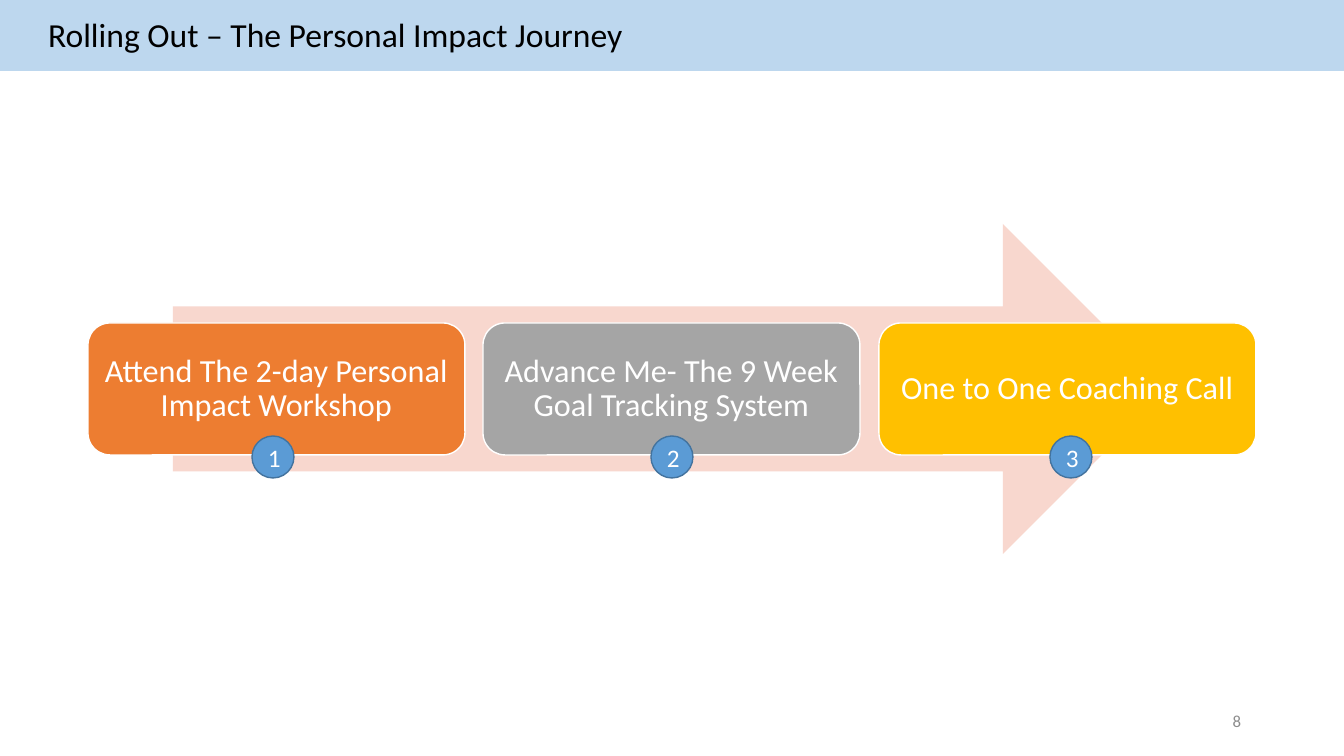
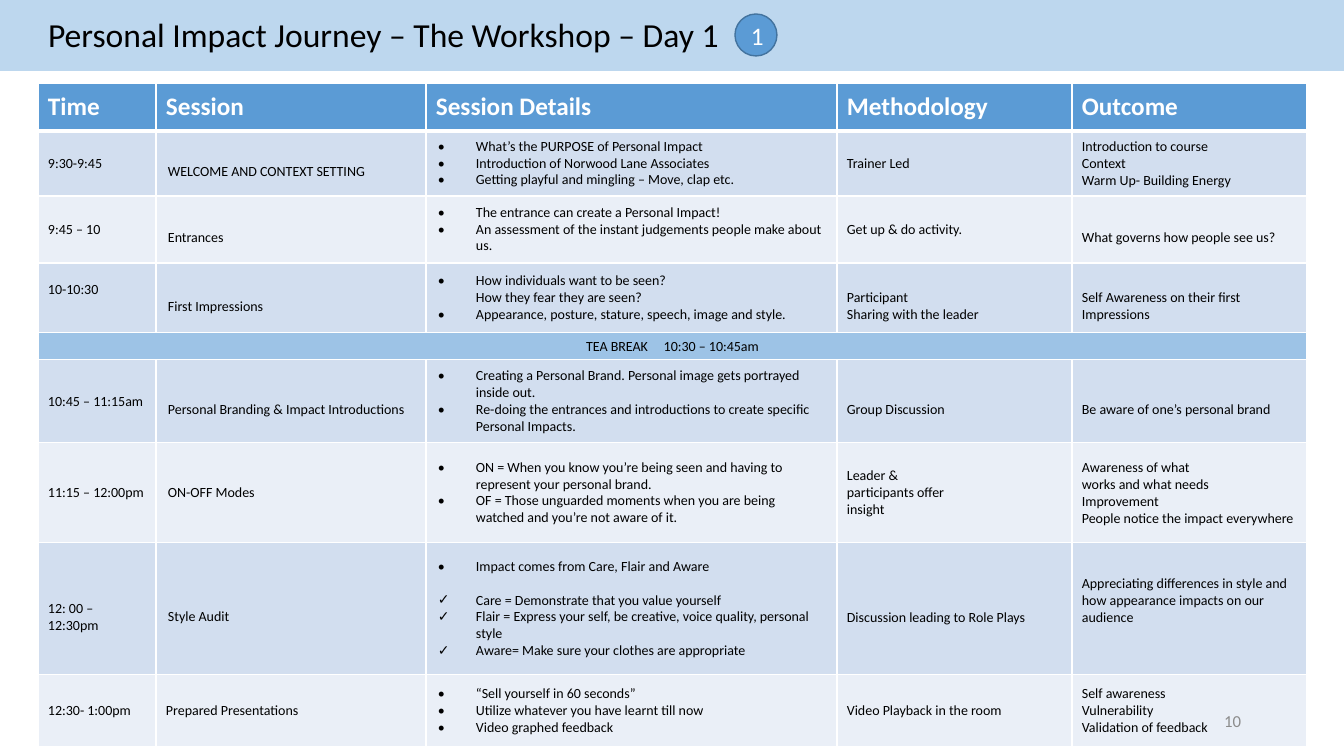
from pptx import Presentation
from pptx.dml import color
from pptx.enum import shapes, text
from pptx.oxml import ns
from pptx.util import Pt
from lxml import etree

KIND = shapes.MSO_SHAPE
MID = text.MSO_ANCHOR.MIDDLE
LEFT, MIDST, RIGHT = text.PP_ALIGN.LEFT, text.PP_ALIGN.CENTER, text.PP_ALIGN.RIGHT
BLUE, SKY, EDGE, WHITE, BLACK, GREY = "5B9BD5", "BDD7EE", "43739E", "FFFFFF", "000000", "8C8C8C"
PINK, ORANGE, STONE, GOLD = "F8D7CE", "ED7D31", "A5A5A5", "FFC000"
DARK, PALE, BREAK = "D2DEEF", "EAEFF7", "9DC3E6"

STEPS = [
    ("Attend The 2-day Personal Impact Workshop", ORANGE),
    ("Advance Me- The 9 Week Goal Tracking System", STONE),
    ("One to One Coaching Call", GOLD),
]
COLS = [118, 270, 411, 235, 235]
ROWS = [48, 65, 67, 70, 27, 83, 100, 132, 72]
FILLS = [BLUE, DARK, PALE, DARK, BREAK, DARK, PALE, DARK, PALE]
LOW = {(1, 1), (2, 1), (2, 4), (3, 1), (3, 3), (3, 4), (5, 1), (5, 3), (5, 4), (7, 0), (7, 1), (7, 3)}
HIGH = {(3, 0), (7, 4)}
PLAN = [
    ["Time", "Session", "Session Details", "Methodology", "Outcome"],
    ["9:30-9:45", "WELCOME AND CONTEXT SETTING",
     "• What’s the PURPOSE of Personal Impact\n• Introduction of Norwood Lane Associates\n"
     "• Getting playful and mingling – Move, clap etc.",
     "Trainer Led", "Introduction to course\nContext\nWarm Up- Building Energy"],
    ["9:45 – 10", "Entrances",
     "• The entrance can create a Personal Impact!\n"
     "• An assessment of the instant judgements people make about us.",
     "Get up & do activity.", "What governs how people see us?"],
    ["10-10:30", "First Impressions",
     "• How individuals want to be seen?\nHow they fear they are seen?\n"
     "• Appearance, posture, stature, speech, image and style.",
     "Participant\nSharing with the leader", "Self Awareness on their first Impressions"],
    ["TEA BREAK| |10:30 – 10:45am"],
    ["10:45 – 11:15am", "Personal Branding & Impact Introductions",
     "• Creating a Personal Brand. Personal image gets portrayed inside out.\n"
     "• Re-doing the entrances and introductions to create specific Personal Impacts.",
     "Group Discussion", "Be aware of one’s personal brand"],
    ["11:15 – 12:00pm", "ON-OFF Modes",
     "• ON = When you know you’re being seen and having to represent your personal brand.\n"
     "• OF = Those unguarded moments when you are being watched and you’re not aware of it.",
     "Leader &\nparticipants offer\ninsight",
     "Awareness of what\nworks and what needs\nImprovement\nPeople notice the impact everywhere"],
    ["12: 00 – 12:30pm", "Style Audit",
     "• Impact comes from Care, Flair and Aware\n✓ Care = Demonstrate that you value yourself\n"
     "✓ Flair = Express your self, be creative, voice quality, personal style\n"
     "✓ Aware= Make sure your clothes are appropriate",
     "Discussion leading to Role Plays",
     "Appreciating differences in style and how appearance impacts on our audience"],
    ["12:30- 1:00pm", "Prepared Presentations",
     "• “Sell yourself in 60 seconds”\n• Utilize whatever you have learnt till now\n"
     "• Video graphed feedback",
     "Video Playback in the room", "Self awareness\nVulnerability\nValidation of feedback"],
]


def px(n):
    """Turn pixels into EMU."""
    return round(n * 914400 / 100.8)


def hue(code):
    """Turn a hex string into a colour."""
    return color.RGBColor.from_string(code)


def put(item, **vals):
    """Set each given attribute on an item."""
    for name, val in vals.items():
        setattr(item, name, val)


def pad(item, left, top, right, low):
    """Set the four margins in pixels."""
    put(item, margin_left=px(left), margin_top=px(top), margin_right=px(right), margin_bottom=px(low))


def write(para, words, size, tint, bold=False, **vals):
    """Add formatted runs, split at bars, with a widened lone space."""
    put(para, **vals)
    for part in words.split("|"):
        run = para.add_run()
        run.text = part
        put(run.font, size=Pt(size), name="Calibri", bold=bold)
        run.font.color.rgb = hue(tint)
        if part == " ":
            run._r.get_or_add_rPr().set("spc", "900")


def shape(slide, kind, box, fill, line=None):
    """Add a flat preset shape."""
    form = slide.shapes.add_shape(kind, *map(px, box))
    form.shadow.inherit = False
    form.fill.solid()
    form.fill.fore_color.rgb = hue(fill)
    if line:
        form.line.color.rgb = hue(line)
        form.line.width = Pt(1)
    else:
        form.line.fill.background()
    return form


def badge(slide, x, y, num):
    """Add a numbered circle."""
    disc = shape(slide, KIND.OVAL, (x, y, 42, 42), BLUE, EDGE)
    put(disc.text_frame, vertical_anchor=MID, word_wrap=True)
    write(disc.text_frame.paragraphs[0], str(num), 18, WHITE, alignment=MIDST)


def frame(deck, words, wide):
    """Add a slide with its band and title."""
    slide = deck.slides.add_slide(deck.slide_layouts[5])
    title = slide.shapes.title
    band = shape(slide, KIND.RECTANGLE, (0, 0, 1344, 71), SKY)
    title._element.addprevious(band._element)
    put(title, left=px(38), top=px(9), width=px(wide), height=px(50))
    put(title.text_frame, word_wrap=False, vertical_anchor=MID, auto_size=text.MSO_AUTO_SIZE.NONE)
    pad(title.text_frame, 10, 5, 10, 5)
    write(title.text_frame.paragraphs[0], words, 24, BLACK, alignment=LEFT)
    return slide


def foot(slide, page):
    """Add the page number."""
    note = slide.shapes.add_textbox(*map(px, (949, 701, 302, 40))).text_frame
    put(note, word_wrap=True, vertical_anchor=MID)
    write(note.paragraphs[0], str(page), 12, GREY, alignment=RIGHT)


def trip(slide, x, y, w, h):
    """Draw the arrow with its steps and badges."""
    shape(slide, KIND.RIGHT_ARROW, (x + 85, y, w - 173, h), PINK)
    wide, tall = 377, 132
    step = (w - wide) / (len(STEPS) - 1)
    top = y + (h - tall) // 2
    for i, (words, fill) in enumerate(STEPS):
        card = shape(slide, KIND.ROUNDED_RECTANGLE, (x + int(i * step), top, wide, tall), fill, WHITE)
        put(card.text_frame, word_wrap=True, vertical_anchor=MID)
        pad(card.text_frame, 9, 9, 9, 9)
        write(card.text_frame.paragraphs[0], words, 23, WHITE, alignment=MIDST, line_spacing=0.9)
    for i in range(len(STEPS)):
        badge(slide, x + 164 + i * 399, top + 113, i + 1)


def rule(cell, low):
    """Draw white borders round a cell."""
    prop = cell._tc.get_or_add_tcPr()
    for side in "LRTB":
        wide = low if side == "B" else 1
        line = etree.SubElement(prop, ns.qn("a:ln" + side), w=str(Pt(wide)))
        fill = etree.SubElement(line, ns.qn("a:solidFill"))
        etree.SubElement(fill, ns.qn("a:srgbClr"), val=WHITE)


def mark(para, sign):
    """Indent a paragraph and hang its bullet."""
    prop = para._p.get_or_add_pPr()
    prop.set("marL", str(px(38)))
    prop.set("indent", str(px(-38) if sign else 0))
    if sign:
        etree.SubElement(prop, ns.qn("a:buFont"), typeface="Calibri")
        etree.SubElement(prop, ns.qn("a:buChar"), char=sign)


def fill(cell, words, row, col):
    """Write the lines of one cell."""
    head = row == 0
    tight = (col == 2 and not head) or (col == 1 and 0 < row < 8)
    side, edge = (12, 0) if tight else (10, 5)
    pad(cell, side, edge + 17 * ((row, col) in LOW), side, edge + 17 * ((row, col) in HIGH))
    cell.vertical_anchor = MID
    last = ""
    for i, line in enumerate(words.split("\n")):
        para = cell.text_frame.paragraphs[0] if i == 0 else cell.text_frame.add_paragraph()
        if col == 2 and not head:
            sign = line[0] if line[0] in "•✓" else ""
            mark(para, sign)
            line = line[2:] if sign else line
            if sign == "✓" and last == "•":
                para.space_before = Pt(12)
            last = sign
        if tight:
            para.line_spacing = Pt(12)
        write(para, line, 18 if head else 10, WHITE if head else BLACK, head,
              alignment=MIDST if len(PLAN[row]) == 1 else LEFT)


def grid(slide, x, y):
    """Add the timetable."""
    area = map(px, (x, y, sum(COLS), sum(ROWS)))
    table = slide.shapes.add_table(len(ROWS), len(COLS), *area).table
    for col, wide in zip(table.columns, COLS):
        col.width = px(wide)
    for r, cells in enumerate(PLAN):
        table.rows[r].height = px(ROWS[r])
        for c in range(len(COLS)):
            cell = table.cell(r, c)
            rule(cell, 3 if r == 0 else 1)
            cell.fill.solid()
            cell.fill.fore_color.rgb = hue(FILLS[r])
            if c < len(cells):
                fill(cell, cells[c], r, c)
        if len(cells) == 1:
            table.cell(r, 0).merge(table.cell(r, len(COLS) - 1))


def main():
    """Build and save the deck."""
    deck = Presentation()
    put(deck, slide_width=px(1344), slide_height=px(756))
    slide = frame(deck, "Rolling Out – The Personal Impact Journey", 600)
    trip(slide, 88, 224, 1168, 330)
    foot(slide, 8)
    slide = frame(deck, "Personal Impact Journey – The Workshop – Day 1", 698)
    grid(slide, 38, 83)
    badge(slide, 735, 14, 1)
    foot(slide, 10)
    deck.save("out.pptx")


if __name__ == "__main__":
    main()
